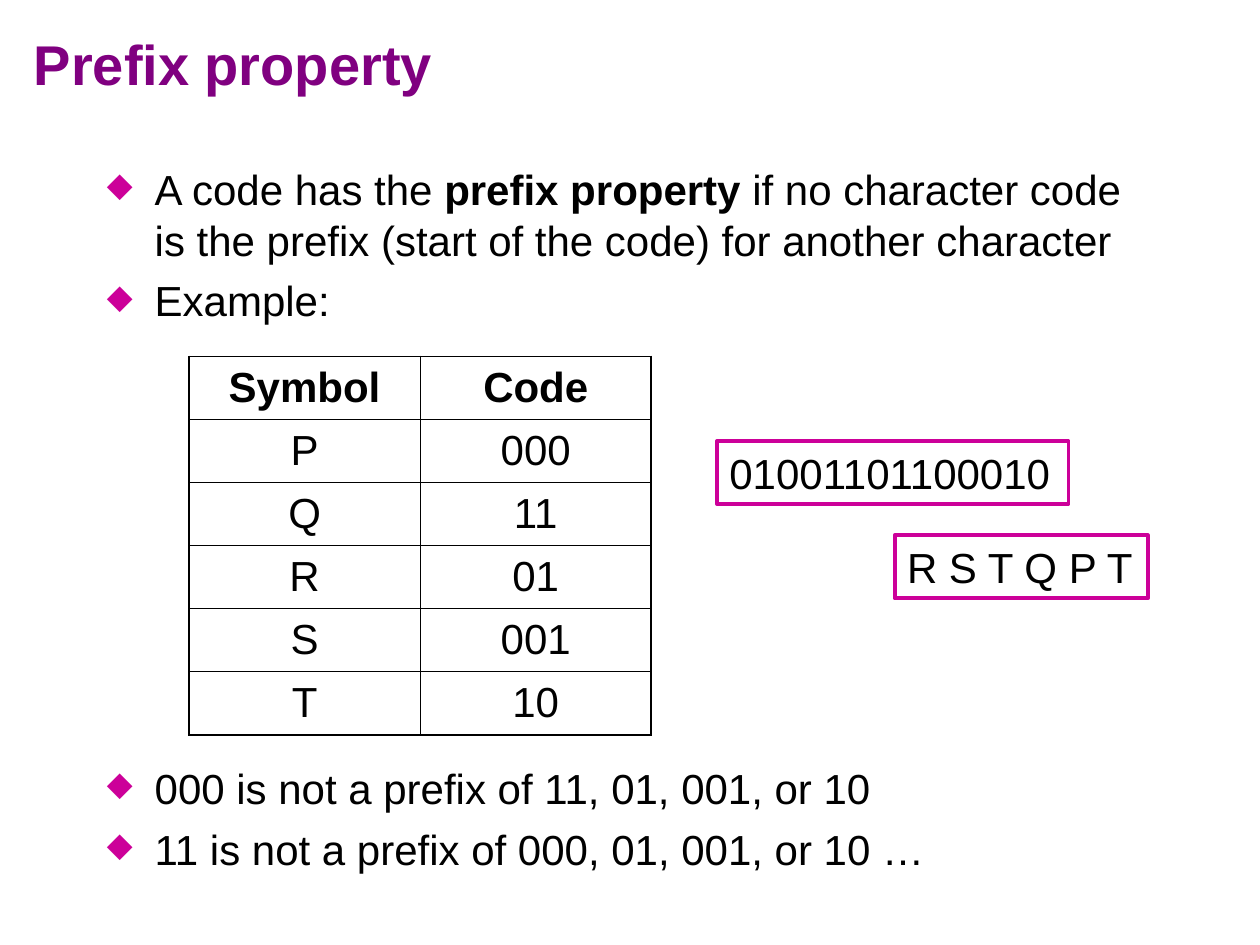
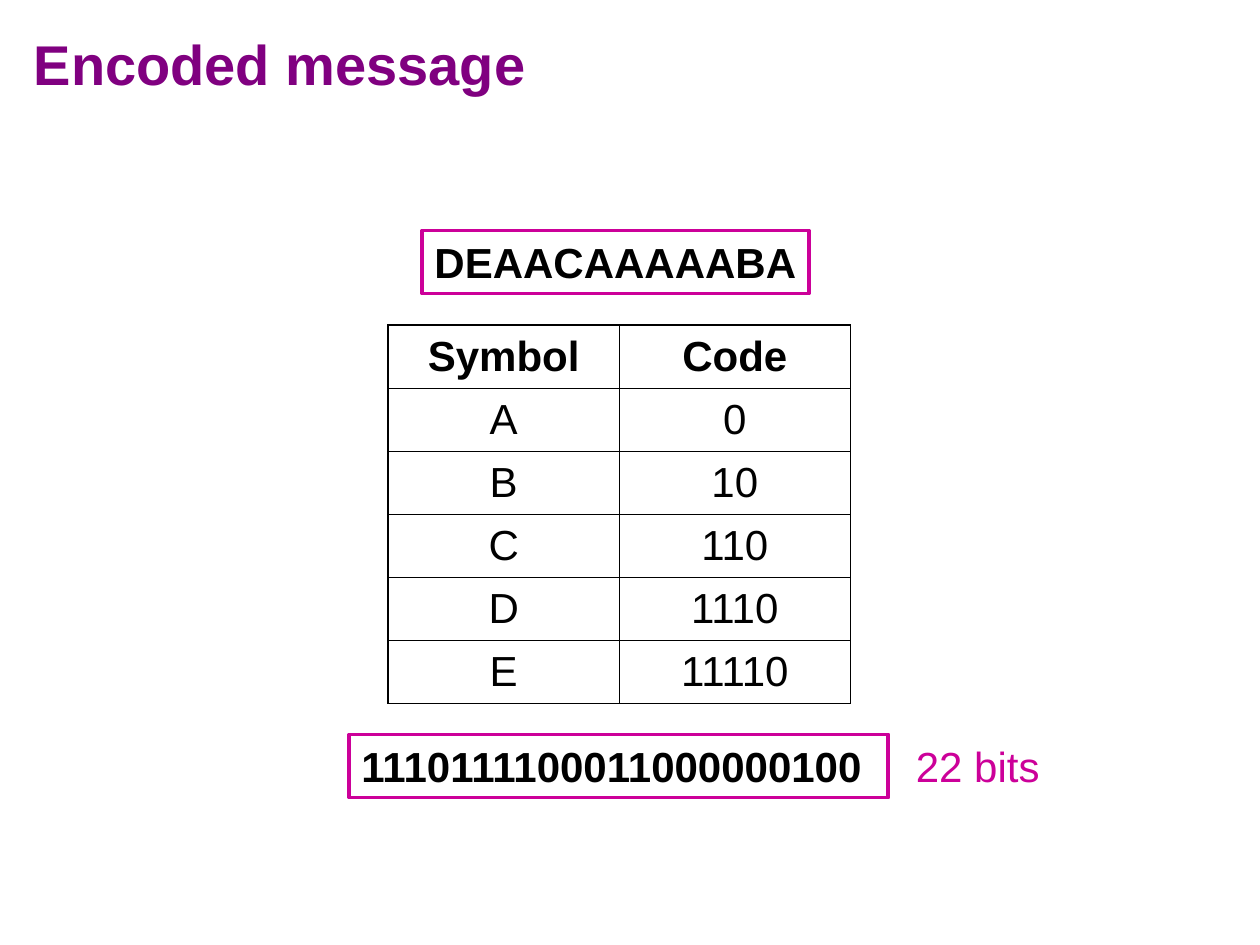
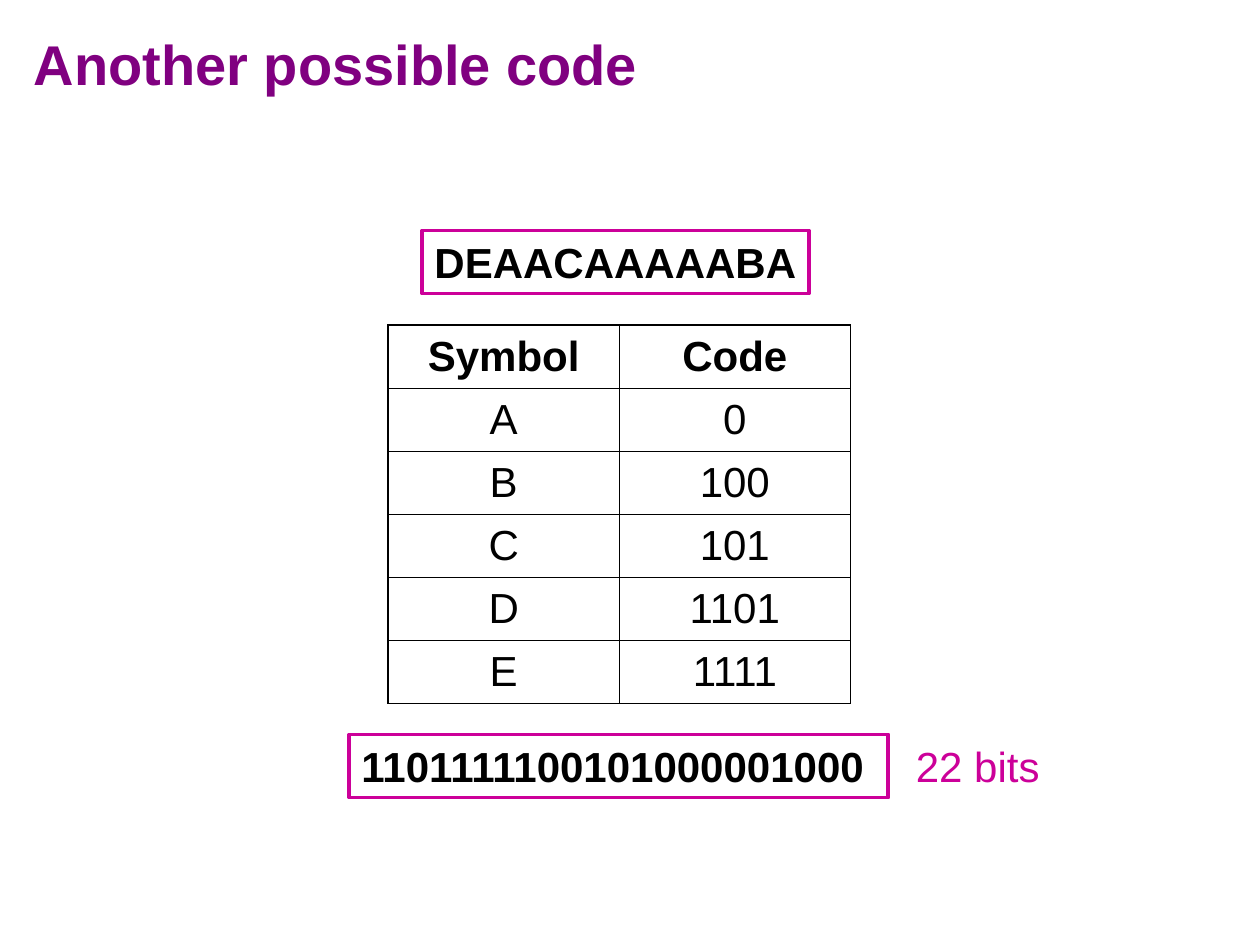
from lxml import etree
from pptx import Presentation
from pptx import util as u
from pptx.dml.color import RGBColor
from pptx.enum import shapes, text
from pptx.oxml import ns

INK, TITLE, ACCENT = "000000", "800080", "CC0099"
INNER_RULE, OUTER_RULE = 0.45, 1.08


def color(code):
    """Turn a hex string into a colour."""
    return RGBColor.from_string(code)


def add_xml(parent, tag, **attributes):
    """Append a DrawingML element and return it."""
    return etree.SubElement(parent, ns.qn(f"a:{tag}"), attributes)


class Slides:
    """Hold the shared style and the current slide."""

    font, size = "Arial", 24

    def __init__(self):
        """Start an empty 10 by 7.5 inch deck."""
        self.deck = Presentation()
        self.deck.slide_width = u.Inches(10)
        self.deck.slide_height = u.Inches(7.5)
        self.page = None

    def start(self, title):
        """Add a slide with its title."""
        self.page = self.deck.slides.add_slide(self.deck.slide_layouts[6])
        box = self.page.shapes.add_textbox(*map(u.Inches, (0.17, 0.04, 9.67, 0.92)))
        box.text_frame.word_wrap = True
        box.text_frame.vertical_anchor = text.MSO_ANCHOR.MIDDLE
        self.set_text(box.text_frame.paragraphs[0], title, TITLE, True, 32)

    def set_text(self, para, words, ink=INK, bold=False, size=size):
        """Fill a paragraph with text in one style."""
        para.text = words
        self.style(para, ink, bold, size)

    def style(self, para, ink=INK, bold=False, size=size):
        """Set the font of a paragraph."""
        para.font.name, para.font.size = self.font, u.Pt(size)
        para.font.bold, para.font.color.rgb = bold, color(ink)

    def bullets(self, top, height, items):
        """Add a diamond list whose items are lists of (words, bold) spans."""
        box = self.page.shapes.add_textbox(*map(u.Inches, (0.75, top, 8.5, height)))
        frame = box.text_frame
        frame.word_wrap = True
        for index, spans in enumerate(items):
            para = frame.add_paragraph() if index else frame.paragraphs[0]
            if index:
                para.space_before = u.Pt(6)
            props = para._p.get_or_add_pPr()
            props.set("marL", str(u.Inches(0.38)))
            props.set("indent", str(-u.Inches(0.38)))
            add_xml(add_xml(props, "buClr"), "srgbClr", val=ACCENT)
            add_xml(props, "buSzPct", val="80000")
            add_xml(props, "buChar", char="◆")
            for words, bold in spans:
                span = para.add_run()
                span.text = words
                if bold:
                    span.font.bold = True
            self.style(para)

    def label(self, left, top, width, words, ink=INK, bold=False):
        """Add one line of text without a frame."""
        box = self.page.shapes.add_textbox(*map(u.Inches, (left, top, width, 0.5)))
        self.fit_line(box, words, ink, bold)

    def framed(self, left, top, width, words, bold=False):
        """Add one line of text in an accent frame."""
        box = self.page.shapes.add_shape(
            shapes.MSO_SHAPE.RECTANGLE, *map(u.Inches, (left, top, width, 0.5)))
        box.shadow.inherit = False
        box.fill.background()
        box.line.color.rgb = color(ACCENT)
        box.line.width = u.Pt(2.25)
        self.fit_line(box, words, INK, bold)

    def fit_line(self, box, words, ink, bold):
        """Set one left-aligned line at the top of a box."""
        frame = box.text_frame
        frame.word_wrap = True
        frame.margin_right = 0
        frame.vertical_anchor = text.MSO_ANCHOR.TOP
        para = frame.paragraphs[0]
        para.alignment = text.PP_ALIGN.LEFT
        self.set_text(para, words, ink, bold)

    def code_table(self, left, top, codes):
        """Add a table of symbols and their codes."""
        rows = [("Symbol", "Code"), *codes.items()]
        table = self.page.shapes.add_table(
            len(rows), 2, *map(u.Inches, (left, top, 3.67, 0.5 * len(rows)))).table
        table.first_row = table.horz_banding = False
        for r, row in enumerate(rows):
            for c, words in enumerate(row):
                cell = table.cell(r, c)
                cell.vertical_anchor = text.MSO_ANCHOR.MIDDLE
                para = cell.text_frame.paragraphs[0]
                para.alignment = text.PP_ALIGN.CENTER
                self.set_text(para, words, bold=r == 0)
                edges = {"L": c == 0, "R": c == 1, "T": r == 0, "B": r == len(rows) - 1}
                self.rule(cell, edges)
                cell.fill.background()

    def rule(self, cell, edges):
        """Draw the cell borders, heavier on the outer edges."""
        for side, outer in edges.items():
            width = u.Pt(OUTER_RULE if outer else INNER_RULE)
            line = add_xml(cell._tc.get_or_add_tcPr(), f"ln{side}", w=str(width))
            add_xml(add_xml(line, "solidFill"), "srgbClr", val=INK)

    def message(self, title, codes, bits):
        """Add a slide that encodes the sample message with a code."""
        self.start(title)
        self.code_table(3.08, 2.58, codes)
        self.framed(3.35, 1.83, 3.07, "DEAACAAAAABA", True)
        self.framed(2.77, 5.83, 4.28, bits, True)
        self.label(7.17, 5.83, 1.18, f"{len(bits)} bits", ACCENT)


def main():
    """Build the three slides."""
    slides = Slides()
    slides.start("Prefix property")
    slides.bullets(1.25, 1.5, [
        [("A code has the ", False), ("prefix property", True),
         (" if no character code is the prefix (start of the code) "
          "for another character", False)],
        [("Example:", False)],
    ])
    slides.code_table(1.5, 2.83, {"P": "000", "Q": "11", "R": "01", "S": "001", "T": "10"})
    slides.framed(5.69, 3.5, 2.79, "01001101100010")
    slides.framed(7.1, 4.25, 2.01, "R S T Q P T")
    slides.bullets(6, 1, [
        [("000 is not a prefix of 11, 01, 001, or 10", False)],
        [("11 is not a prefix of 000, 01, 001, or 10 …", False)],
    ])
    slides.message("Encoded message",
                   {"A": "0", "B": "10", "C": "110", "D": "1110", "E": "11110"},
                   "1110111100011000000100")
    slides.message("Another possible code",
                   {"A": "0", "B": "100", "C": "101", "D": "1101", "E": "1111"},
                   "1101111100101000001000")
    slides.deck.save("out.pptx")


if __name__ == "__main__":
    main()
